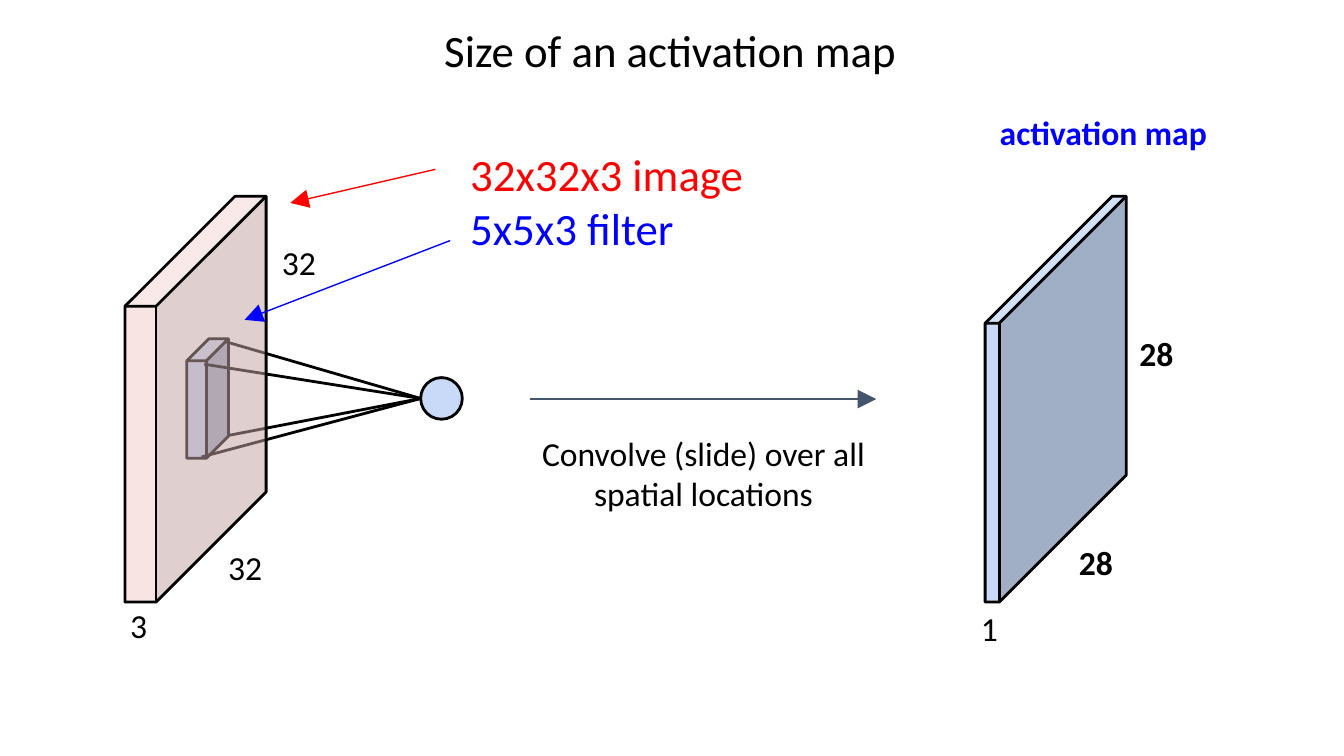
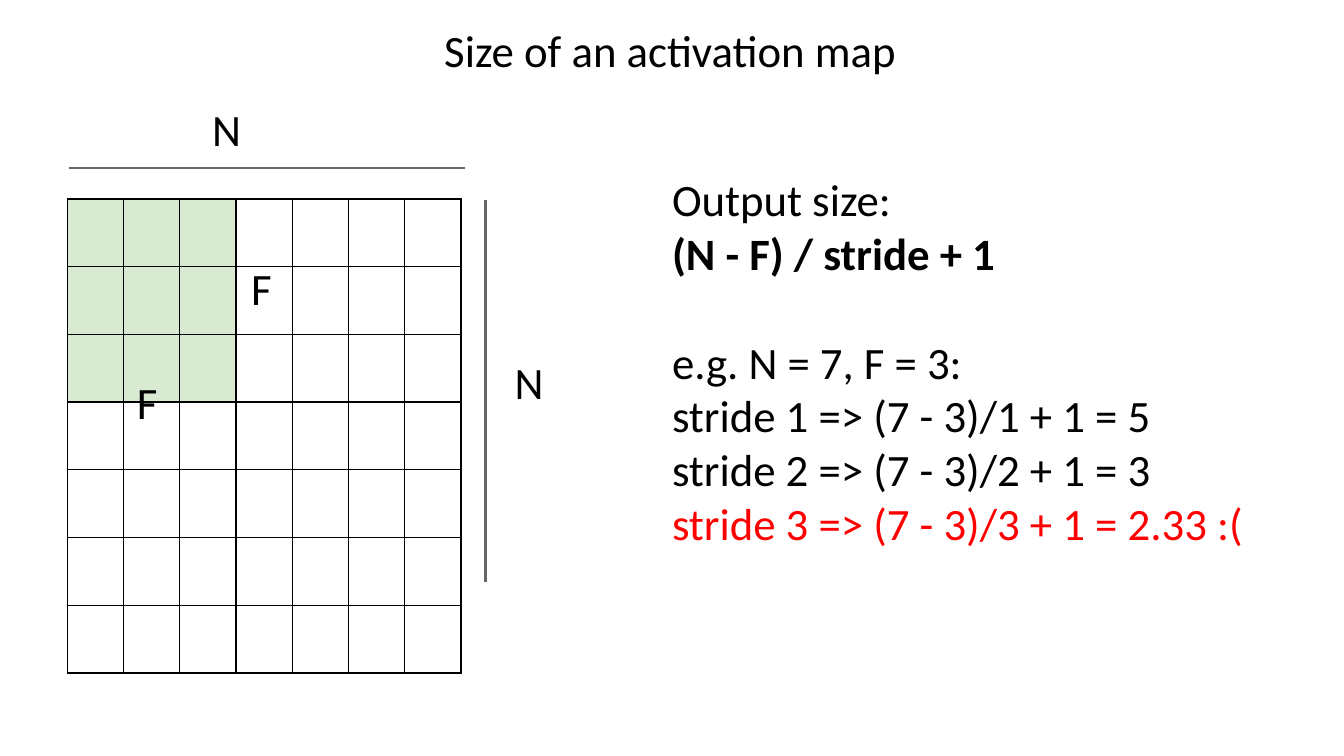
from dataclasses import dataclass

from lxml import etree
from pptx import Presentation
from pptx.dml.color import RGBColor
from pptx.enum.shapes import MSO_CONNECTOR as Link, MSO_SHAPE as Preset
from pptx.enum.text import MSO_ANCHOR as Anchor, MSO_AUTO_SIZE as AutoSize, PP_ALIGN as Align
from pptx.oxml.ns import qn
from pptx.util import Inches, Pt

COLUMNS = 100
SLIDE_WIDTH = Inches(10)
SLIDE_HEIGHT = SLIDE_WIDTH * 9 // 16
UNIT = SLIDE_WIDTH / COLUMNS  # grid cells are square


@dataclass(frozen=True)
class Theme:
    font: str = "Calibri"
    large: int = 24
    small: int = 18
    line_height: float = 1.22
    thin: float = 0.75
    thick: float = 1.5
    black: str = "000000"
    white: str = "FFFFFF"
    red: str = "FF0000"
    blue: str = "0000FF"
    slate: str = "44546A"
    grey: str = "666666"
    pink: str = "F4CCCC"
    pale_blue: str = "C9DAF8"
    pale_green: str = "D9EAD3"


THEME = Theme()


@dataclass(frozen=True)
class Box:
    """An area in grid columns and rows."""
    left: float
    top: float
    width: float
    height: float

    def inner(self, x, y, width, height):
        return Box(self.left + x, self.top + y, width, height)

    def point(self, x, y):
        return self.left + x, self.top + y

    def emu(self):
        return [round(n * UNIT) for n in (self.left, self.top, self.width, self.height)]


TITLE_BOX = Box(1.5, 0.7, 96.7, 6.6)


def rgb(color):
    return RGBColor.from_string(color)


def add_run(paragraph, text, size, color=THEME.black, bold=False):
    run = paragraph.add_run()
    run.text = text
    font = run.font
    font.name, font.size, font.bold = THEME.font, Pt(size), bold
    font.color.rgb = rgb(color)


def prepare_frame(frame):
    frame.word_wrap = True
    frame.auto_size = AutoSize.NONE
    frame.vertical_anchor = Anchor.TOP
    frame.margin_left = frame.margin_right = Inches(0.1)
    frame.margin_top = frame.margin_bottom = Inches(0.1)
    return frame


def next_paragraph(frame, index):
    return frame.add_paragraph() if index else frame.paragraphs[0]


def place(placeholder, box):
    placeholder.left, placeholder.top, placeholder.width, placeholder.height = box.emu()
    return prepare_frame(placeholder.text_frame)


def add_label(slide, box, *lines, size=THEME.small, bold=False, align=Align.LEFT):
    """Write each (text, colour) line as a paragraph."""
    frame = prepare_frame(slide.shapes.add_textbox(*box.emu()).text_frame)
    for index, (text, color) in enumerate(lines):
        paragraph = next_paragraph(frame, index)
        paragraph.alignment = align
        add_run(paragraph, text, size, color, bold)


def add_solid(slide, preset, box, color, depth=None, opacity=None):
    solid = slide.shapes.add_shape(preset, *box.emu())
    solid.shadow.inherit = False
    solid.fill.solid()
    solid.fill.fore_color.rgb = rgb(color)
    solid.line.color.rgb = rgb(THEME.black)
    solid.line.width = Pt(THEME.thick)
    if depth is not None:
        solid.adjustments[0] = depth
    if opacity is not None:
        tint = solid._element.spPr.find(f"{qn('a:solidFill')}/{qn('a:srgbClr')}")
        etree.SubElement(tint, qn("a:alpha"), val=str(opacity * 1000))


def add_line(slide, start, end, color, width, arrow=False):
    ends = [round(n * UNIT) for n in (*start, *end)]
    line = slide.shapes.add_connector(Link.STRAIGHT, *ends)
    line.line.color.rgb = rgb(color)
    line.line.width = Pt(width)
    properties = line._element.spPr
    etree.SubElement(properties, qn("a:effectLst"))
    if arrow:
        etree.SubElement(properties.find(qn("a:ln")), qn("a:tailEnd"),
                         type="triangle", w="lg", len="lg")


def new_slide(deck, layout_index):
    slide = deck.slides.add_slide(deck.slide_layouts[layout_index])
    paragraph = place(slide.shapes.title, TITLE_BOX).paragraphs[0]
    paragraph.alignment = Align.CENTER
    add_run(paragraph, "Size of an activation map", THEME.large)
    return slide


def draw_image_volume(slide, box):
    """Image block with the filter inside it, feeding one neuron."""
    neuron_size = 3.1
    neuron = box.inner(22.6, 13.5, neuron_size, neuron_size)
    add_solid(slide, Preset.CUBE, box.inner(5.2, 10.6, 3.1, 8.9), THEME.pale_blue, depth=0.53)
    add_solid(slide, Preset.OVAL, neuron, THEME.pale_blue)
    for corner in ((6.3, 19.4), (6.5, 12.5), (8, 10.8), (8.3, 17.8)):
        add_line(slide, box.point(*corner), neuron.point(0, neuron_size / 2),
                 THEME.black, THEME.thick)
    for text, x, y in (("32", 7.3, 25.1), ("32", 11.3, 2.4), ("3", 0, 29.4)):
        add_label(slide, box.inner(x, y, 5.4, 3.4), (text, THEME.black))
    add_solid(slide, Preset.CUBE, box.inner(0.6, 0, 10.5, 30.2), THEME.pink,
              depth=0.78, opacity=52)


def draw_captions(slide, box):
    add_label(slide, box.inner(15.8, 0, 39.8, 6), ("32x32x3 image", THEME.red),
              ("5x5x3 filter", THEME.blue), size=THEME.large)
    for start, end, color in (((14.2, 2.7), (3.4, 5.2), THEME.red),
                              ((15.3, 8), (0, 13.9), THEME.blue)):
        add_line(slide, box.point(*start), box.point(*end), color, THEME.thin, arrow=True)


def draw_convolution_step(slide, box):
    add_line(slide, box.point(1.4, 0), box.point(27.2, 0), THEME.slate, THEME.thin, arrow=True)
    add_label(slide, box.inner(0, 1.5, box.width, 8.9),
              ("Convolve (slide) over all spatial locations", THEME.black), align=Align.CENTER)


def draw_activation_map(slide, box):
    add_solid(slide, Preset.CUBE, box.inner(1.3, 7.3, 10.5, 30.2), THEME.pale_blue, depth=0.9)
    add_label(slide, box.inner(1.4, 0, 19.7, 5.9), ("activation map", THEME.blue), bold=True)
    for text, x, y, bold in (("1", 0, 36.9, False), ("28", 7.3, 32, True),
                             ("28", 11.8, 16.5, True)):
        add_label(slide, box.inner(x, y, 5.4, 3.4), (text, THEME.black), bold=bold)


def add_borders(cell):
    properties = cell._tc.get_or_add_tcPr()
    for side in ("lnL", "lnR", "lnT", "lnB"):
        border = etree.SubElement(properties, qn(f"a:{side}"), w=str(Pt(THEME.thin)))
        fill = etree.SubElement(border, qn("a:solidFill"))
        etree.SubElement(fill, qn("a:srgbClr"), val=THEME.black)


def draw_input_grid(slide, box, input_size=7, filter_size=3):
    """Square input of N cells a side, its filter corner shaded, with N and F marked."""
    grid = slide.shapes.add_table(input_size, input_size, *box.emu()).table
    grid.first_row = grid.horz_banding = False
    for row in range(input_size):
        for column in range(input_size):
            cell = grid.cell(row, column)
            add_borders(cell)
            if row < filter_size:
                cell.fill.solid()
                shaded = column < filter_size
                cell.fill.fore_color.rgb = rgb(THEME.pale_green if shaded else THEME.white)
            else:
                cell.fill.background()

    for start, end in (((0.1, -2.3), (29.6, -2.3)), ((31.1, 0.1), (31.1, 28.5))):
        add_line(slide, box.point(*start), box.point(*end), THEME.grey, THEME.thick)
    for text, x, y in (("N", 9.8, -8.2), ("N", 32.3, 10.6), ("F", 4.2, 12.1), ("F", 12.7, 3.6)):
        add_label(slide, box.inner(x, y, 8.5, 4.3), (text, THEME.black), size=THEME.large)


def write_output_sizes(slide, box):
    frame = place(slide.placeholders[1], box)
    example = "e.g. N = 7, F = 3:"
    lines = (
        ("Output size:", THEME.black, False),
        ("(N - F) / stride + 1", THEME.black, True),
        (example, THEME.black, False),
        ("stride 1 => (7 - 3)/1 + 1 = 5", THEME.black, False),
        ("stride 2 => (7 - 3)/2 + 1 = 3", THEME.black, False),
        ("stride 3 => (7 - 3)/3 + 1 = 2.33 :(", THEME.red, False),
    )
    for index, (text, color, bold) in enumerate(lines):
        paragraph = next_paragraph(frame, index)
        properties = paragraph._p.get_or_add_pPr()
        properties.set("marL", "0")
        properties.set("indent", "0")
        etree.SubElement(properties, qn("a:buNone"))
        paragraph.space_before = Pt(THEME.large * THEME.line_height if text == example else 0)
        add_run(paragraph, text, THEME.large, color, bold)


def build_convolution_slide(deck):
    slide = new_slide(deck, 5)
    draw_image_volume(slide, Box(8.7, 14.6, 25.7, 32.8))
    draw_captions(slide, Box(18.2, 9.9, 55.6, 13.9))
    draw_convolution_step(slide, Box(38, 29.7, 28.7, 10.4))
    draw_activation_map(slide, Box(72, 7.3, 21.1, 40.3))


def build_output_size_slide(deck):
    slide = new_slide(deck, 1)
    draw_input_grid(slide, Box(5, 14.8, 29.3, 35.3))
    write_output_sizes(slide, Box(49, 11.8, 51, 26.4))


def main():
    deck = Presentation()
    deck.slide_width, deck.slide_height = SLIDE_WIDTH, SLIDE_HEIGHT
    build_convolution_slide(deck)
    build_output_size_slide(deck)
    deck.save("out.pptx")


if __name__ == "__main__":
    main()
